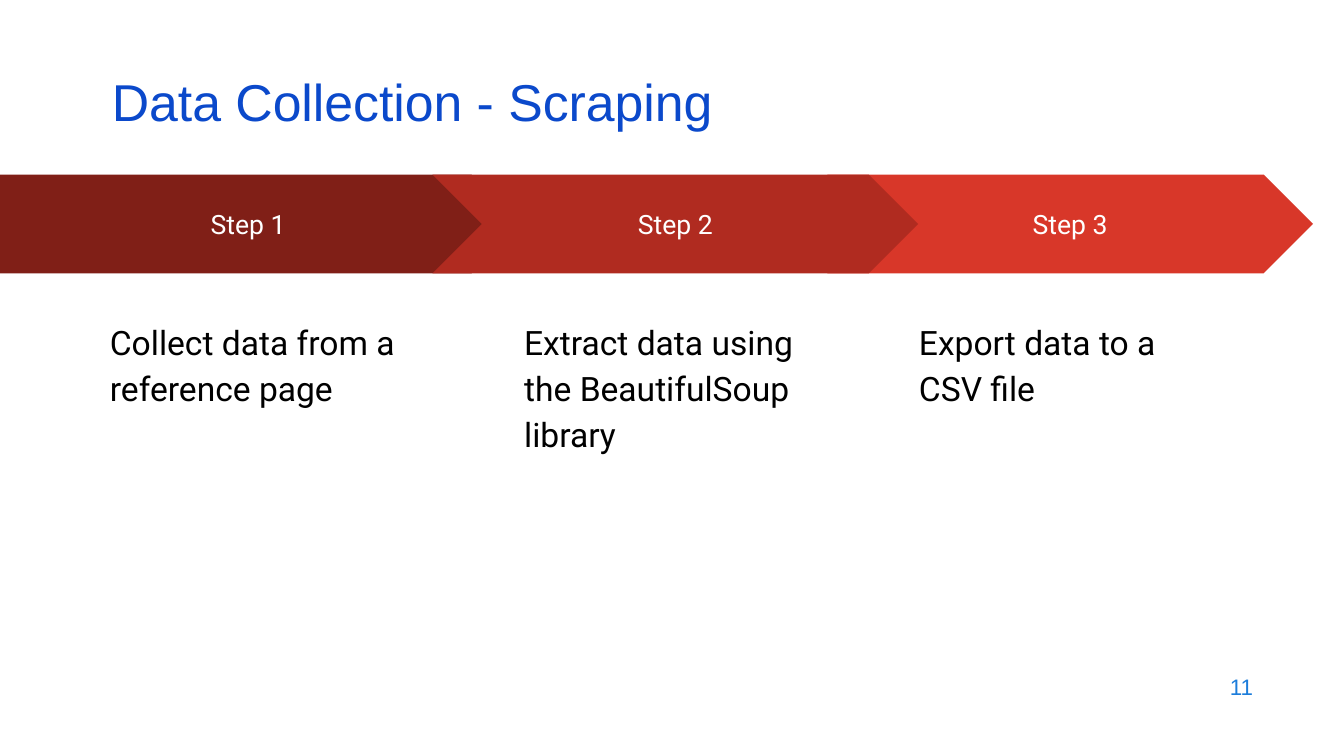
from dataclasses import dataclass

from pptx import Presentation
from pptx.dml.color import RGBColor
from pptx.enum.shapes import MSO_SHAPE
from pptx.enum.text import MSO_ANCHOR, PP_ALIGN
from pptx.util import Cm, Pt


@dataclass(frozen=True)
class Theme:
    """Colours, fonts and type sizes of the slide."""
    title_color: str = "0B49CB"
    number_color: str = "1C7DDB"
    detail_color: str = "000000"
    label_color: str = "FFFFFF"
    step_fills: tuple = ("801F17", "B02B20", "D83729")
    heading_font: str = "Arial"
    body_font: str = "Roboto"
    title_size: int = 37
    detail_size: int = 24
    label_size: int = 19
    number_size: int = 16


@dataclass(frozen=True)
class Box:
    """A region in centimetres."""
    left: float
    top: float
    width: float
    height: float

    def lengths(self):
        """Return the four measures as slide lengths."""
        return Cm(self.left), Cm(self.top), Cm(self.width), Cm(self.height)


THEME = Theme()
STEPS = (
    ("Step 1", "Collect data from a reference page"),
    ("Step 2", "Extract data using the BeautifulSoup library"),
    ("Step 3", "Export data to a CSV file"),
)
STACKING = (2, 0, 1)


def write_text(shape, text, font_name, size, color, align=PP_ALIGN.LEFT,
               anchor=MSO_ANCHOR.MIDDLE, spacing=1.0, insets=(0.25, 0.13)):
    """Fill a shape with one styled paragraph."""
    frame = shape.text_frame
    frame.word_wrap = True
    frame.vertical_anchor = anchor
    frame.margin_left = frame.margin_right = Cm(insets[0])
    frame.margin_top = frame.margin_bottom = Cm(insets[1])
    paragraph = frame.paragraphs[0]
    paragraph.alignment = align
    paragraph.line_spacing = spacing
    run = paragraph.add_run()
    run.text = text
    run.font.name = font_name
    run.font.size = Pt(size)
    run.font.color.rgb = RGBColor.from_string(color)


def add_title(slide, box, text):
    """Place the slide title."""
    shape = slide.shapes.add_textbox(*box.lengths())
    write_text(shape, text, THEME.heading_font, THEME.title_size,
               THEME.title_color, spacing=0.8)


def add_page_number(slide, box, text):
    """Place the page number at the right of its box."""
    shape = slide.shapes.add_textbox(*box.lengths())
    write_text(shape, text, THEME.heading_font, THEME.number_size,
               THEME.number_color, align=PP_ALIGN.RIGHT)


def add_arrow(slide, box, preset, label, fill):
    """Place one labelled arrow of the process band."""
    arrow = slide.shapes.add_shape(preset, *box.lengths())
    arrow.adjustments[0] = 0.5
    arrow.shadow.inherit = False
    arrow.fill.solid()
    arrow.fill.fore_color.rgb = RGBColor.from_string(fill)
    arrow.line.fill.background()
    write_text(arrow, label, THEME.body_font, THEME.label_size,
               THEME.label_color, align=PP_ALIGN.CENTER, insets=(0.33, 0.33))


def add_detail(slide, box, text):
    """Place the explanation below an arrow."""
    shape = slide.shapes.add_textbox(*box.lengths())
    write_text(shape, text, THEME.body_font, THEME.detail_size,
               THEME.detail_color, anchor=MSO_ANCHOR.TOP, spacing=1.15,
               insets=(0.33, 0.33))


def add_process(slide, box):
    """Place the overlapping step arrows and their explanations."""
    arrow_height, chevron_width, pitch = 2.49, 12.24, 9.95
    first_chevron = box.width - chevron_width - pitch
    for index in STACKING:
        label, detail = STEPS[index]
        if index == 0:
            preset, left, width, indent = MSO_SHAPE.PENTAGON, box.left, 13.13, 2.44
        else:
            preset, width, indent = MSO_SHAPE.CHEVRON, chevron_width, 1.98
            left = box.left + first_chevron + (index - 1) * pitch
        add_arrow(slide, Box(left, box.top, width, arrow_height),
                  preset, label, THEME.step_fills[index])
        add_detail(slide, Box(left + indent, box.top + 3.22, 8.28, box.height - 3.22),
                   detail)


def main():
    """Build and save the presentation."""
    presentation = Presentation()
    presentation.slide_width = Cm(33.87)
    presentation.slide_height = Cm(19.05)
    slide = presentation.slides.add_slide(presentation.slide_layouts[6])
    add_page_number(slide, Box(24.21, 16.74, 7.62, 1.12), "11")
    add_title(slide, Box(2.57, 1.93, 29.21, 1.52), "Data Collection - Scraping")
    add_process(slide, Box(0, 4.4, 33.09, 12.9))
    presentation.save("out.pptx")


if __name__ == "__main__":
    main()
